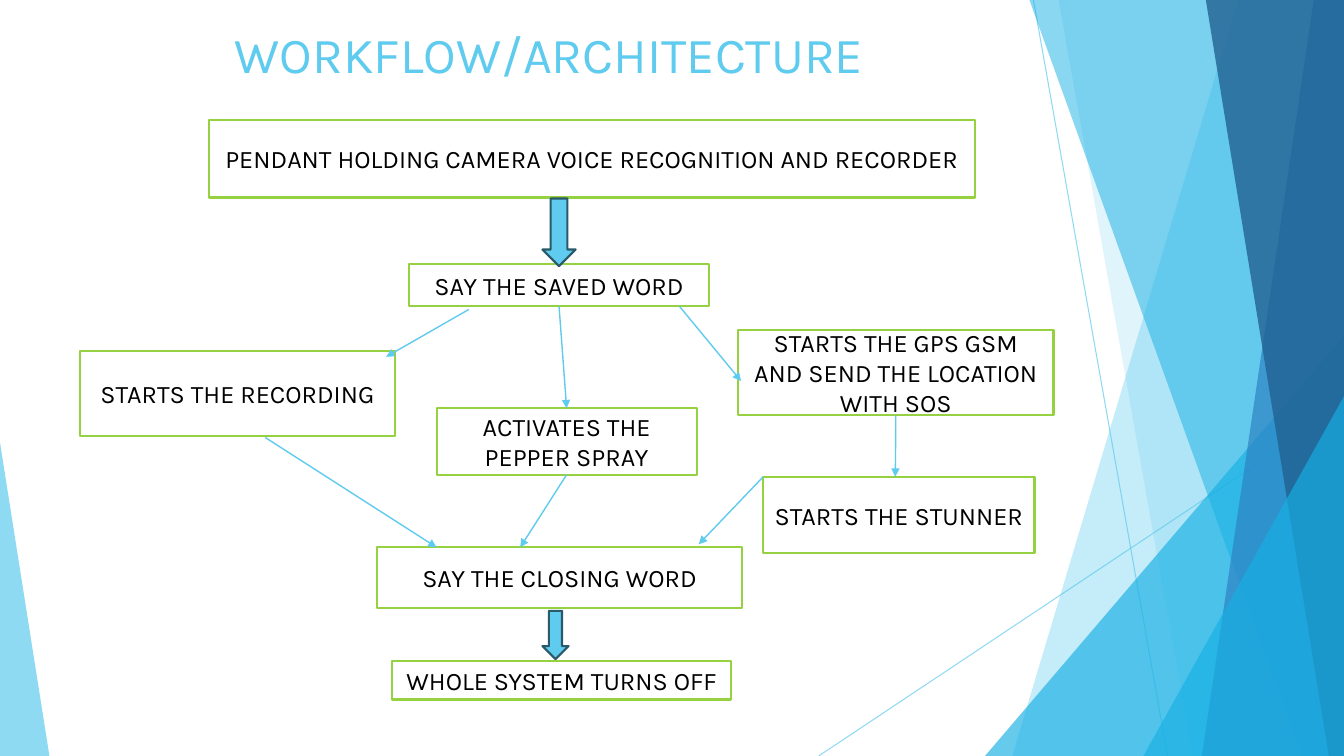
from lxml import etree
from pptx import Presentation
from pptx.dml.color import RGBColor
from pptx.enum.shapes import MSO_CONNECTOR as CONN, MSO_SHAPE as SHAPE
from pptx.enum.text import MSO_ANCHOR as ANCHOR, PP_ALIGN as ALIGN
from pptx.oxml.ns import qn
from pptx.util import Inches, Pt

FONT = "Karla"
SKY, AQUA, BLUE, NAVY = "5FCBEF", "17B0E4", "2E83C3", "226292"
GREEN, TEAL, WHITE, BLACK = "96D141", "2A5969", "FFFFFF", "000000"
TOP, BOTTOM = 0, 2


def paint(fill, color, alpha=100):
    """Make a fill solid in a hex colour, with opacity in percent."""
    fill.solid()
    fill.fore_color.rgb = RGBColor.from_string(color)
    if alpha < 100:
        clr = fill._xPr.find(qn("a:solidFill"))[0]
        etree.SubElement(clr, qn("a:alpha"), val=str(alpha * 1000))


def style(sp, color, alpha=100, line=None):
    """Set fill and outline of a shape and remove its shadow."""
    sp.shadow.inherit = False
    paint(sp.fill, color, alpha)
    if line:
        paint(sp.line.fill, line)
        sp.line.width = Pt(1.5)
    else:
        sp.line.fill.background()


def add_shape(slide, kind, x, y, w, h):
    """Add a preset shape measured in inches."""
    return slide.shapes.add_shape(kind, Inches(x), Inches(y), Inches(w), Inches(h))


def add_line(slide, start, end, width, alpha=100, arrow=False):
    """Add a straight line between two points in inches."""
    ends = [Inches(v) for v in (*start, *end)]
    cxn = slide.shapes.add_connector(CONN.STRAIGHT, *ends)
    paint(cxn.line.fill, SKY, alpha)
    cxn.line.width = Pt(width)
    if arrow:
        ln = cxn.line._get_or_add_ln()
        etree.SubElement(ln, qn("a:tailEnd"), type="triangle")
    etree.SubElement(cxn._element.spPr, qn("a:effectLst"))
    return cxn


def add_triangle(slide, x, y, w, h, apex, color, alpha):
    """Add a borderless triangle with its apex at a fraction of its width."""
    sp = add_shape(slide, SHAPE.ISOSCELES_TRIANGLE, x, y, w, h)
    sp.adjustments[0] = apex
    style(sp, color, alpha)


def add_facets(slide, left, top, width, height):
    """Draw the translucent facets that fill the right side."""
    right, bottom = left + width, top + height
    add_line(slide, (left + 2.13, top), (left + 3.46, bottom), 0.75, 70)
    add_line(slide, (right, top + 4.03), (left, bottom), 0.75, 70)

    def band(upper, lower, color, alpha):
        """Fill from a slanted left edge to the right side."""
        fb = slide.shapes.build_freeform(Inches(left + upper), Inches(top))
        corners = [(right, top), (right, bottom), (left + lower, bottom)]
        fb.add_line_segments([(Inches(x), Inches(y)) for x, y in corners])
        style(fb.convert_to_shape(), color, alpha)

    def corner(w, h):
        """Fill a triangle in the lower right corner."""
        add_triangle(slide, right - w, bottom - h, w, h, 1, AQUA, 66)

    band(4.16, 1.92, SKY, 36)
    band(2.38, 3.71, SKY, 20)
    corner(3.56, 4.17)
    band(2.09, 4.79, AQUA, 50)
    band(4.91, 3.8, BLUE, 70)
    band(3.84, 5.06, NAVY, 80)
    corner(1.99, 3.57)


def add_title(slide, left, top, width, height):
    """Write the slide title."""
    tb = slide.shapes.add_textbox(*[Inches(v) for v in (left, top, width, height)])
    tf = tb.text_frame
    tf.word_wrap = True
    write(tf, "WORKFLOW/ARCHITECTURE", 36, SKY)


def write(tf, text, size, color):
    """Fill a text frame with one paragraph and return it."""
    p = tf.paragraphs[0]
    p.text = text
    p.font.name, p.font.size = FONT, Pt(size)
    p.font.color.rgb = RGBColor.from_string(color)
    return p


def add_flowchart(slide, left, top):
    """Draw the workflow steps and the arrows that join them."""
    steps = {
        "pendant": ("PENDANT HOLDING CAMERA VOICE RECOGNITION AND RECORDER",
                    1.28, 0, 7.6, 0.77),
        "recording": ("STARTS THE RECORDING", 0, 2.29, 3.13, 0.85),
        "saved": ("SAY THE SAVED WORD", 3.27, 1.43, 2.97, 0.42),
        "gps": ("STARTS THE GPS GSM AND SEND THE LOCATION WITH SOS",
                6.53, 2.08, 3.13, 0.85),
        "spray": ("ACTIVATES THE PEPPER SPRAY", 3.54, 2.86, 2.58, 0.66),
        "stunner": ("STARTS THE STUNNER", 6.78, 3.54, 2.69, 0.76),
        "closing": ("SAY THE CLOSING WORD", 2.95, 4.24, 3.62, 0.6),
        "off": ("WHOLE SYSTEM TURNS OFF", 3.1, 5.37, 3.36, 0.38),
    }
    boxes = {}
    for name, (text, x, y, w, h) in steps.items():
        sp = add_shape(slide, SHAPE.RECTANGLE, left + x, top + y, w, h)
        style(sp, WHITE, line=GREEN)
        tf = sp.text_frame
        tf.word_wrap = True
        tf.vertical_anchor = ANCHOR.MIDDLE
        write(tf, text, 18, BLACK).alignment = ALIGN.CENTER
        boxes[name] = sp

    for x, y, w, h in [(4.59, 0.78, 0.33, 0.67), (4.59, 4.87, 0.26, 0.48)]:
        sp = add_shape(slide, SHAPE.DOWN_ARROW, left + x, top + y, w, h)
        style(sp, SKY, line=TEAL)

    arrows = [
        ((3.86, 1.88), (3.04, 2.35), None, None),
        ((5.95, 1.85), (6.56, 2.59), None, None),
        ((4.76, 1.85), (4.83, 2.86), "saved", "spray"),
        ((8.09, 2.93), (8.09, 3.54), "gps", None),
        ((1.84, 3.15), (3.54, 4.24), None, None),
        ((4.83, 3.52), (4.37, 4.24), "spray", None),
        ((6.78, 3.54), (6.14, 4.21), None, None),
    ]
    for (x1, y1), (x2, y2), source, target in arrows:
        cxn = add_line(slide, (left + x1, top + y1), (left + x2, top + y2),
                       1, arrow=True)
        if source:
            cxn.begin_connect(boxes[source], BOTTOM)
        if target:
            cxn.end_connect(boxes[target], TOP)


def main():
    """Build the workflow slide and save it."""
    prs = Presentation()
    prs.slide_width, prs.slide_height = Inches(13.33), Inches(7.5)
    slide = prs.slides.add_slide(prs.slide_layouts[6])
    paint(slide.background.fill, WHITE)
    add_facets(slide, 8.12, 0, 5.21, 7.5)
    add_triangle(slide, 0, 4.39, 0.49, 3.11, 0, SKY, 70)
    add_title(slide, 2.23, 0.18, 8.57, 1.44)
    add_flowchart(slide, 0.79, 1.19)
    prs.save("out.pptx")


if __name__ == "__main__":
    main()
